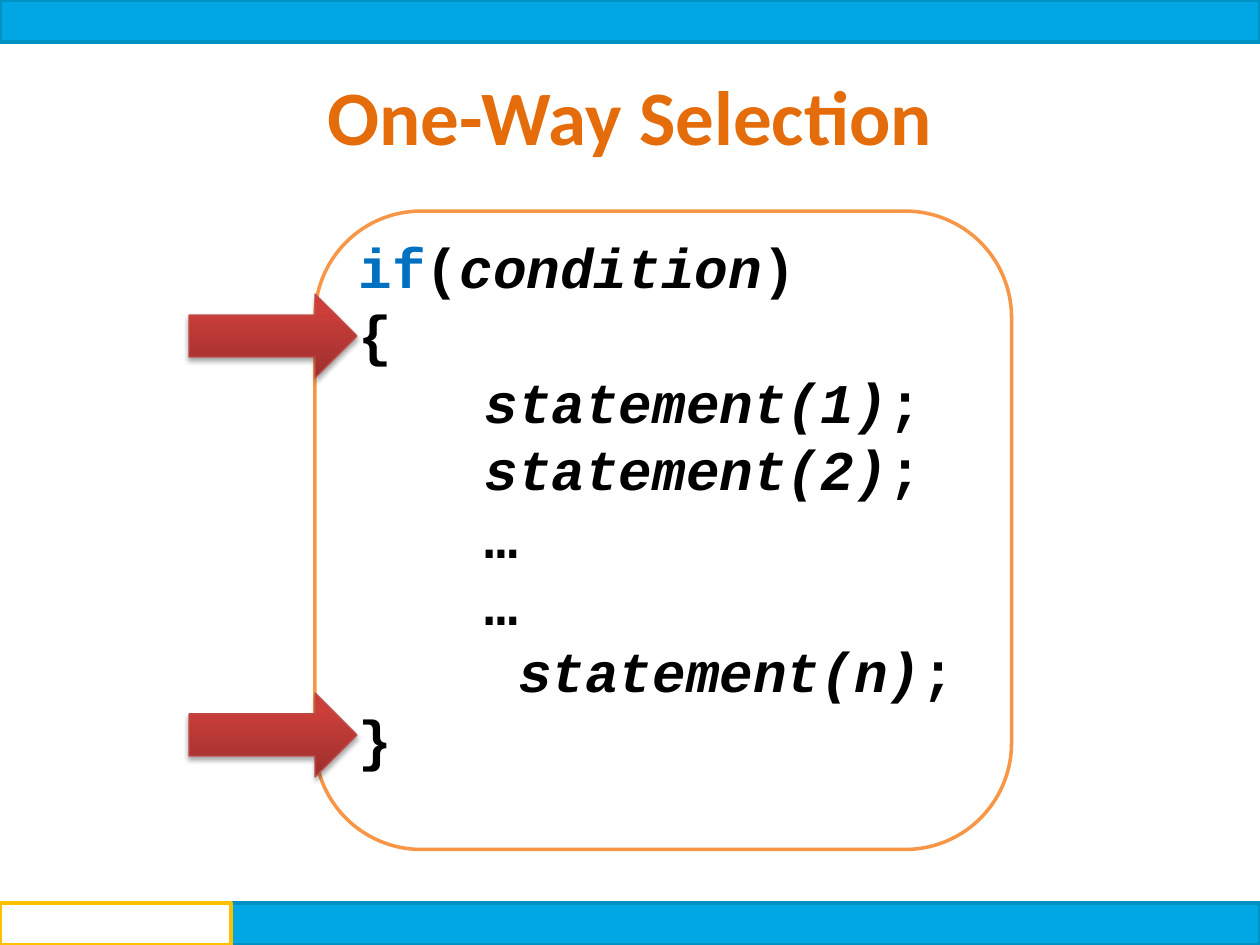
from dataclasses import dataclass
from typing import Optional

import pptx
import pptx.dml.color
import pptx.enum.shapes
import pptx.enum.text
import pptx.oxml
import pptx.oxml.ns
import pptx.util

WIDTH, HEIGHT = 10, 7.5
# Grid of 60 columns by 45 rows, each cell one sixth of an inch
COLUMNS, ROWS = 60, 45
KIND = pptx.enum.shapes.MSO_SHAPE
ALIGN = pptx.enum.text.PP_ALIGN
ANCHOR = pptx.enum.text.MSO_ANCHOR
CODE_FORMAT = {"name": "Courier New", "size": pptx.util.Pt(32), "bold": True}
TITLE_FORMAT = {"name": "Calibri", "size": pptx.util.Pt(44), "bold": True}
BLACK, BLUE, ORANGE = "000000", "0070C0", "E46C0A"
ARROW_STOPS = ((0, "9C2F2D"), (80, "CB3E3A"), (100, "CE3B37"))


@dataclass(frozen=True)
class Area:
    column: float
    row: float
    columns: float
    rows: float

    def lengths(self) -> tuple:
        return (
            pptx.util.Inches(self.column * WIDTH / COLUMNS),
            pptx.util.Inches(self.row * HEIGHT / ROWS),
            pptx.util.Inches(self.columns * WIDTH / COLUMNS),
            pptx.util.Inches(self.rows * HEIGHT / ROWS),
        )


@dataclass(frozen=True)
class Block:
    area: Area
    kind: int
    line: str
    line_width: float
    fill: Optional[str] = None


@dataclass(frozen=True)
class Piece:
    text: str
    italic: bool = False
    color: str = BLACK


TOP_BAR = Block(Area(0, 0, 60, 2), KIND.RECTANGLE, "0091C4", 2, "00A7E2")
BOTTOM_BAR = Block(Area(0, 43, 60, 2), KIND.RECTANGLE, "0091C4", 2, "00A7E2")
CORNER_BOX = Block(Area(0, 43, 11, 2), KIND.RECTANGLE, "FFC000", 2.25, "FFFFFF")
CODE_PANEL = Block(Area(15, 10.05, 33.17, 30.4), KIND.ROUNDED_RECTANGLE, "F79646", 2)
ARROWS = [
    Block(Area(9, row, 8, 4), KIND.RIGHT_ARROW, "BF4C48", 0.75) for row in (14, 33)
]
TITLE_AREA = Area(1.5, 2.95, 57, 5.05)


def statement(argument: str, indent: str = "\t") -> list[Piece]:
    return [Piece(indent), Piece(f"statement({argument})", italic=True), Piece(";")]


CODE_LINES = [
    [Piece("if", color=BLUE), Piece("("), Piece("condition", italic=True), Piece(")")],
    [Piece("{")],
    statement("1"),
    statement("2"),
    [Piece("\t…")],
    [Piece("\t…")],
    statement("n", indent="\t "),
    [Piece("}")],
]


def rgb(value: str) -> pptx.dml.color.RGBColor:
    return pptx.dml.color.RGBColor.from_string(value)


def set_attributes(target, values: dict) -> None:
    for name, value in values.items():
        setattr(target, name, value)


def add_block(slide, block: Block):
    shape = slide.shapes.add_shape(block.kind, *block.area.lengths())
    shape.shadow.inherit = False
    if block.fill:
        shape.fill.solid()
        shape.fill.fore_color.rgb = rgb(block.fill)
    else:
        shape.fill.background()
    shape.line.color.rgb = rgb(block.line)
    shape.line.width = pptx.util.Pt(block.line_width)
    return shape


def add_run(paragraph, piece: Piece, format_values: dict) -> None:
    run = paragraph.add_run()
    run.text = piece.text
    set_attributes(run.font, {**format_values, "italic": piece.italic})
    run.font.color.rgb = rgb(piece.color)


def add_title(slide, text: str) -> None:
    frame = slide.shapes.add_textbox(*TITLE_AREA.lengths()).text_frame
    frame.word_wrap = True
    frame.paragraphs[0].alignment = ALIGN.CENTER
    add_run(frame.paragraphs[0], Piece(text, color=ORANGE), TITLE_FORMAT)


def add_tab_stop(paragraph, position: int) -> None:
    namespace = pptx.oxml.ns.nsdecls("a")
    xml = f'<a:tabLst {namespace}><a:tab pos="{position}" algn="l"/></a:tabLst>'
    paragraph._p.get_or_add_pPr().append(pptx.oxml.parse_xml(xml))


def add_code(slide) -> None:
    frame = add_block(slide, CODE_PANEL).text_frame
    set_attributes(
        frame,
        {
            "word_wrap": True,
            "vertical_anchor": ANCHOR.MIDDLE,
            "margin_top": 0,
            "margin_bottom": pptx.util.Inches(0.45),
        },
    )
    for index, pieces in enumerate(CODE_LINES):
        paragraph = frame.add_paragraph() if index else frame.paragraphs[0]
        set_attributes(
            paragraph,
            {"alignment": ALIGN.LEFT, "line_spacing": pptx.util.Pt(38.5)},
        )
        add_tab_stop(paragraph, pptx.util.Inches(1))
        for piece in pieces:
            add_run(paragraph, piece, CODE_FORMAT)


def add_arrow(slide, block: Block) -> None:
    """Draw an arrow with a three-stop gradient and a soft shadow below it."""
    properties = add_block(slide, block).element.spPr
    namespace = pptx.oxml.ns.nsdecls("a")
    stops = "".join(
        f'<a:gs pos="{share * 1000}"><a:srgbClr val="{color}"/></a:gs>'
        for share, color in ARROW_STOPS
    )
    replacements = {
        "a:noFill": f"<a:gradFill {namespace}><a:gsLst>{stops}</a:gsLst>"
        '<a:lin ang="16200000" scaled="0"/></a:gradFill>',
        "a:effectLst": f"<a:effectLst {namespace}>"
        '<a:outerShdw blurRad="39370" dist="22860" dir="5400000" rotWithShape="0">'
        '<a:srgbClr val="000000"><a:alpha val="35000"/></a:srgbClr>'
        "</a:outerShdw></a:effectLst>",
    }
    for tag, xml in replacements.items():
        old = properties.find(pptx.oxml.ns.qn(tag))
        properties.replace(old, pptx.oxml.parse_xml(xml))


def main() -> None:
    presentation = pptx.Presentation()
    presentation.slide_width = pptx.util.Inches(WIDTH)
    presentation.slide_height = pptx.util.Inches(HEIGHT)
    slide = presentation.slides.add_slide(presentation.slide_layouts[6])
    add_block(slide, TOP_BAR)
    add_title(slide, "One-Way Selection")
    add_block(slide, BOTTOM_BAR)
    add_block(slide, CORNER_BOX)
    add_code(slide)
    for arrow in ARROWS:
        add_arrow(slide, arrow)
    presentation.save("out.pptx")


if __name__ == "__main__":
    main()
